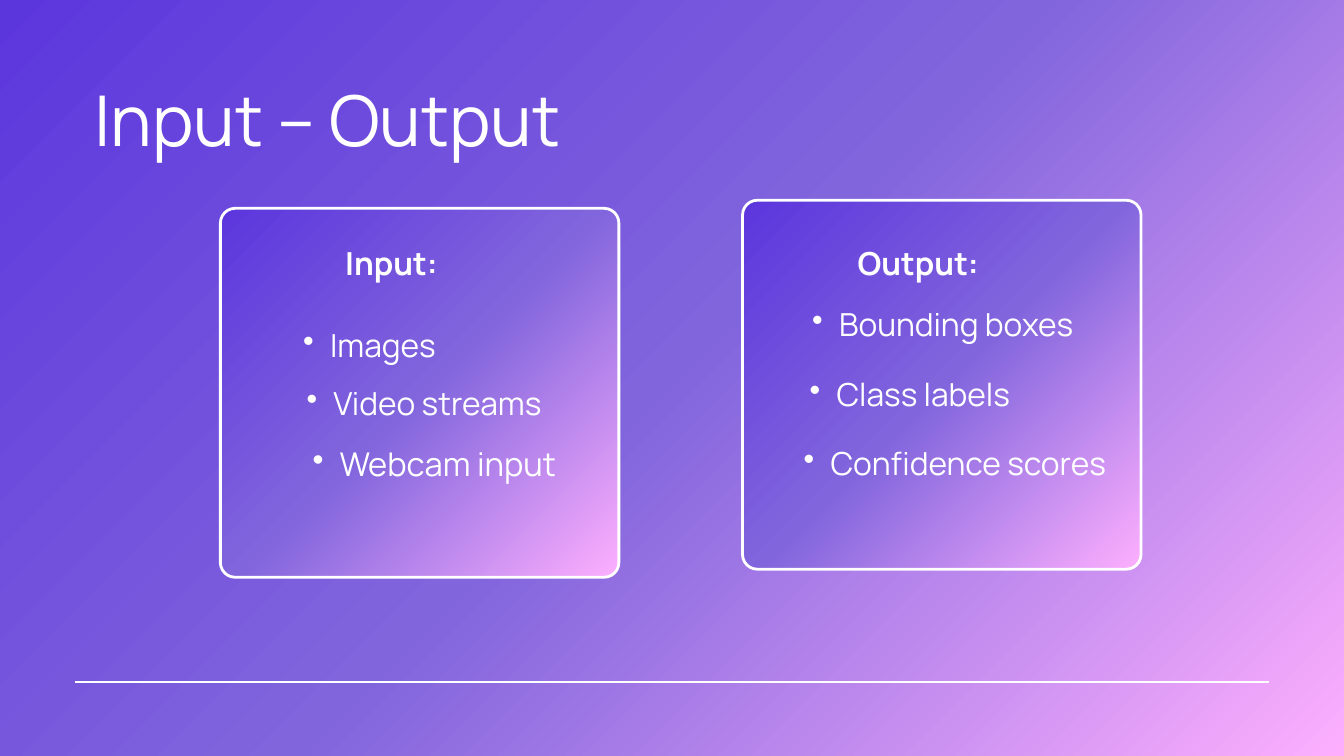
from copy import deepcopy

from pptx import Presentation
from pptx.dml.color import RGBColor
from pptx.enum.shapes import MSO_CONNECTOR, MSO_SHAPE
from pptx.enum.text import MSO_AUTO_SIZE, PP_ALIGN
from pptx.oxml.ns import qn
from pptx.util import Inches, Pt
from lxml import etree

WHITE = RGBColor(0xFF, 0xFF, 0xFF)
INDIGO = RGBColor(0x5C, 0x36, 0xDD)
VIOLET = RGBColor(0x81, 0x65, 0xDD)
PINK = RGBColor(0xFD, 0xAF, 0xFE)
FONT = "Manrope"
STRAIGHT = MSO_CONNECTOR.STRAIGHT
ROUNDED = MSO_SHAPE.ROUNDED_RECTANGLE
GROW = MSO_AUTO_SIZE.SHAPE_TO_FIT_TEXT
LEFT, CENTER = PP_ALIGN.LEFT, PP_ALIGN.CENTER


class SlideBuilder:
    def __init__(self, slide):
        self.slide = slide
        self.gradient(slide.background.fill, slide.element)

    def gradient(self, fill, owner):
        fill.gradient()
        fill.gradient_angle = 315
        stop_list = next(owner.iter(qn("a:gsLst")))
        stop_list.insert(1, deepcopy(stop_list[0]))
        for stop, color, position in zip(
            fill.gradient_stops, (INDIGO, VIOLET, PINK), (0, 0.5, 1)
        ):
            stop.color.rgb = color
            stop.position = position

    def outline(self, line):
        line.color.rgb = WHITE
        line.width = Pt(3)

    def rule(self, left, right, y):
        rule = self.slide.shapes.add_connector(
            STRAIGHT, Inches(left), Inches(y), Inches(right), Inches(y)
        )
        self.outline(rule.line)
        etree.SubElement(rule.element.spPr, qn("a:effectLst"))

    def card(self, left, top):
        card = self.slide.shapes.add_shape(
            ROUNDED, Inches(left), Inches(top), Inches(5.93), Inches(5.49)
        )
        card.adjustments[0] = 0.04
        card.shadow.inherit = False
        self.gradient(card.fill, card.element)
        self.outline(card.line)

    def text(self, words, box, size=34, spacing=1.4, align=CENTER, bold=False):
        frame = self.slide.shapes.add_textbox(*map(Inches, box)).text_frame
        frame.word_wrap = True
        frame.auto_size = GROW
        frame.margin_left = frame.margin_right = 0
        frame.margin_top = frame.margin_bottom = 0
        paragraph = frame.paragraphs[0]
        paragraph.text = words
        paragraph.alignment = align
        paragraph.line_spacing = Pt(size * spacing)
        paragraph.font.name = FONT
        paragraph.font.size = Pt(size)
        paragraph.font.bold = bold
        paragraph.font.color.rgb = WHITE
        return paragraph

    def bullet(self, words, box, size=34, indent=0.8, level=1):
        paragraph = self.text(words, box, size)
        paragraph.level = level
        properties = paragraph._p.get_or_add_pPr()
        properties.set("marL", str(Inches(indent)))
        properties.set("indent", str(Inches(-0.4)))
        marker = etree.Element(qn("a:buChar"), char="•")
        properties.find(qn("a:defRPr")).addprevious(marker)


def main():
    deck = Presentation()
    deck.slide_width, deck.slide_height = Inches(20), Inches(11.25)
    page = SlideBuilder(deck.slides.add_slide(deck.slide_layouts[6]))

    page.rule(1.12, 18.88, 10.15)
    page.text(" Input – Output", (1.2, 1.25, 11.67, 1.25), 75, 1.1, LEFT)

    page.card(3.28, 3.1)
    page.text("Input:", (4.62, 3.54, 2.41, 0.68), bold=True)
    page.bullet("Images", (3.25, 4.75, 4.1, 0.68))
    page.bullet("Video streams", (1, 5.62, 7.72, 0.64), indent=3.3, level=6)
    page.bullet("Webcam input", (3.78, 6.51, 4.94, 0.68), size=35, indent=0.83)

    page.card(11.05, 2.98)
    page.text("Output:", (12.46, 3.54, 2.41, 0.68), bold=True)
    page.bullet("Bounding boxes", (11.4, 4.44, 4.86, 0.68))
    page.bullet("Class labels", (11.25, 5.48, 4.18, 0.64))
    page.bullet("Confidence scores", (11.26, 6.51, 5.5, 0.68))

    deck.save("out.pptx")


if __name__ == "__main__":
    main()
